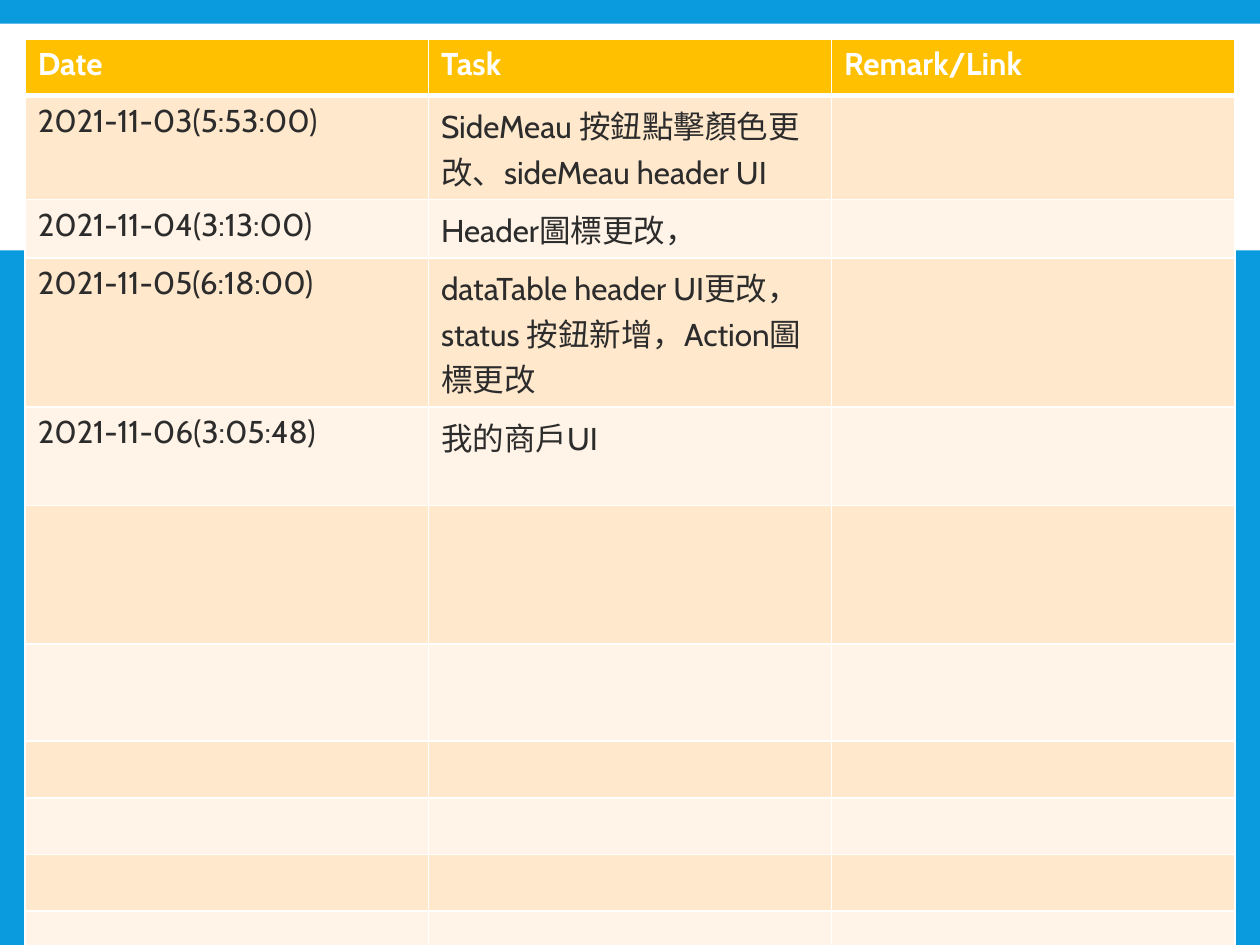
from dataclasses import dataclass

import pptx
import pptx.dml.color
import pptx.enum.shapes
import pptx.oxml
import pptx.oxml.ns
import pptx.util

SLIDE_WIDTH, SLIDE_HEIGHT = 10, 7.5
BLUE, WHITE, AMBER, DARK = "099BDD", "FFFFFF", "FFC000", "2C2C2C"
BANDS = ("FFE8CC", "FFF4E7")
HEADINGS = ("Date", "Task", "Remark/Link")
BORDER_WIDTH, HEADER_RULE_WIDTH = 1, 3


@dataclass
class LogEntry:
    height: float
    date: str = ""
    task: str = ""
    remark: str = ""


HEADER_HEIGHT = 0.45
ENTRIES = [
    LogEntry(0.45, "2021-11-03(5:53:00)", "SideMeau 按鈕點擊顏色更改、sideMeau header UI"),
    LogEntry(0.45, "2021-11-04(3:13:00)", "Header圖標更改，"),
    LogEntry(0.78, "2021-11-05(6:18:00)", "dataTable header UI更改，status 按鈕新增，Action圖標更改"),
    LogEntry(0.78, "2021-11-06(3:05:48)", "我的商戶UI"),
    *(LogEntry(height) for height in (1.1, 0.77, 0.45, 0.45, 0.45, 0.77)),
]


def color(value: str) -> pptx.dml.color.RGBColor:
    return pptx.dml.color.RGBColor.from_string(value)


def fill_solid(fill, value: str) -> None:
    fill.solid()
    fill.fore_color.rgb = color(value)


def draw_borders(cell, bottom_width: float) -> None:
    properties = cell._tc.get_or_add_tcPr()
    namespace = pptx.oxml.ns.nsdecls("a")
    for side in "LRTB":
        width = pptx.util.Pt(bottom_width if side == "B" else BORDER_WIDTH)
        properties.append(pptx.oxml.parse_xml(
            f'<a:ln{side} {namespace} w="{width}"><a:solidFill>'
            f'<a:srgbClr val="{WHITE}"/></a:solidFill></a:ln{side}>'))


def draw_cell(cell, text: str, fill: str, font_format: dict, bottom_width: float) -> None:
    draw_borders(cell, bottom_width)
    fill_solid(cell.fill, fill)
    if text:
        run = cell.text_frame.paragraphs[0].add_run()
        run.text = text
        for name, value in font_format.items():
            setattr(run.font, name, value)
        run.font.color.rgb = color(WHITE if font_format["bold"] else DARK)


def draw_band(slide) -> None:
    top, height = 0.025 * SLIDE_HEIGHT, 0.24 * SLIDE_HEIGHT
    band = slide.shapes.add_shape(
        pptx.enum.shapes.MSO_SHAPE.RECTANGLE, 0, pptx.util.Inches(top),
        pptx.util.Inches(SLIDE_WIDTH), pptx.util.Inches(height))
    band.shadow.inherit = False
    band.line.fill.background()
    fill_solid(band.fill, WHITE)


def draw_log(slide, left: float, top: float, width: float) -> None:
    heights = [HEADER_HEIGHT] + [entry.height for entry in ENTRIES]
    table = slide.shapes.add_table(
        len(heights), len(HEADINGS),
        *(pptx.util.Inches(length) for length in (left, top, width, sum(heights)))).table
    for row, height in zip(table.rows, heights):
        row.height = pptx.util.Inches(height)

    body = {"name": "Cabin", "size": pptx.util.Pt(18), "bold": False}
    for column, heading in enumerate(HEADINGS):
        draw_cell(table.cell(0, column), heading, AMBER, {**body, "bold": True},
                  HEADER_RULE_WIDTH)
    for index, entry in enumerate(ENTRIES):
        for column, text in enumerate((entry.date, entry.task, entry.remark)):
            draw_cell(table.cell(index + 1, column), text, BANDS[index % len(BANDS)],
                      body, BORDER_WIDTH)
    # The rule under the header is shared with the first entry
    for cell in table.rows[1].cells:
        top_line = cell._tc.tcPr.find(pptx.oxml.ns.qn("a:lnT"))
        top_line.set("w", str(pptx.util.Pt(HEADER_RULE_WIDTH)))


def main() -> None:
    presentation = pptx.Presentation()
    presentation.slide_width = pptx.util.Inches(SLIDE_WIDTH)
    presentation.slide_height = pptx.util.Inches(SLIDE_HEIGHT)
    slide = presentation.slides.add_slide(presentation.slide_layouts[6])

    # Backdrop
    fill_solid(slide.background.fill, BLUE)
    draw_band(slide)

    # Work log, with equal margins left and right
    margin = 0.02 * SLIDE_WIDTH
    draw_log(slide, margin, 0.31, SLIDE_WIDTH - 2 * margin)
    presentation.save("out.pptx")


if __name__ == "__main__":
    main()
